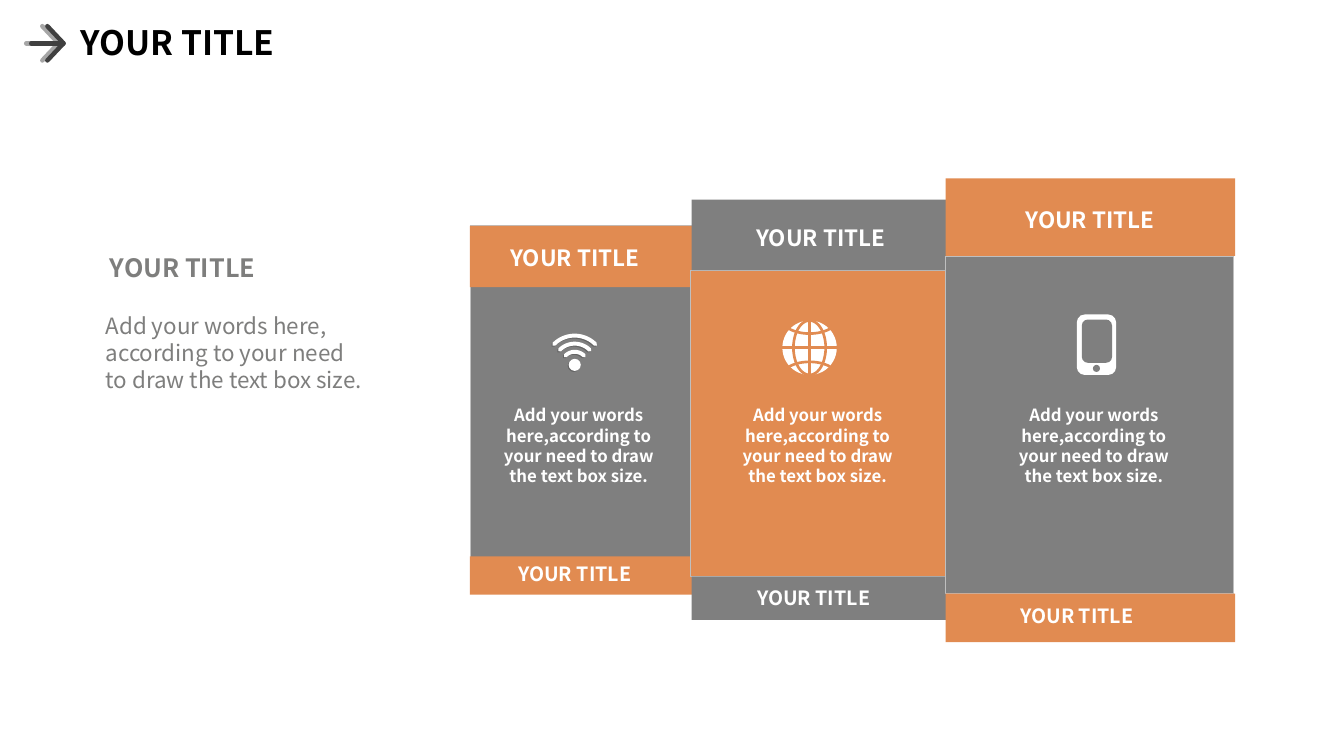
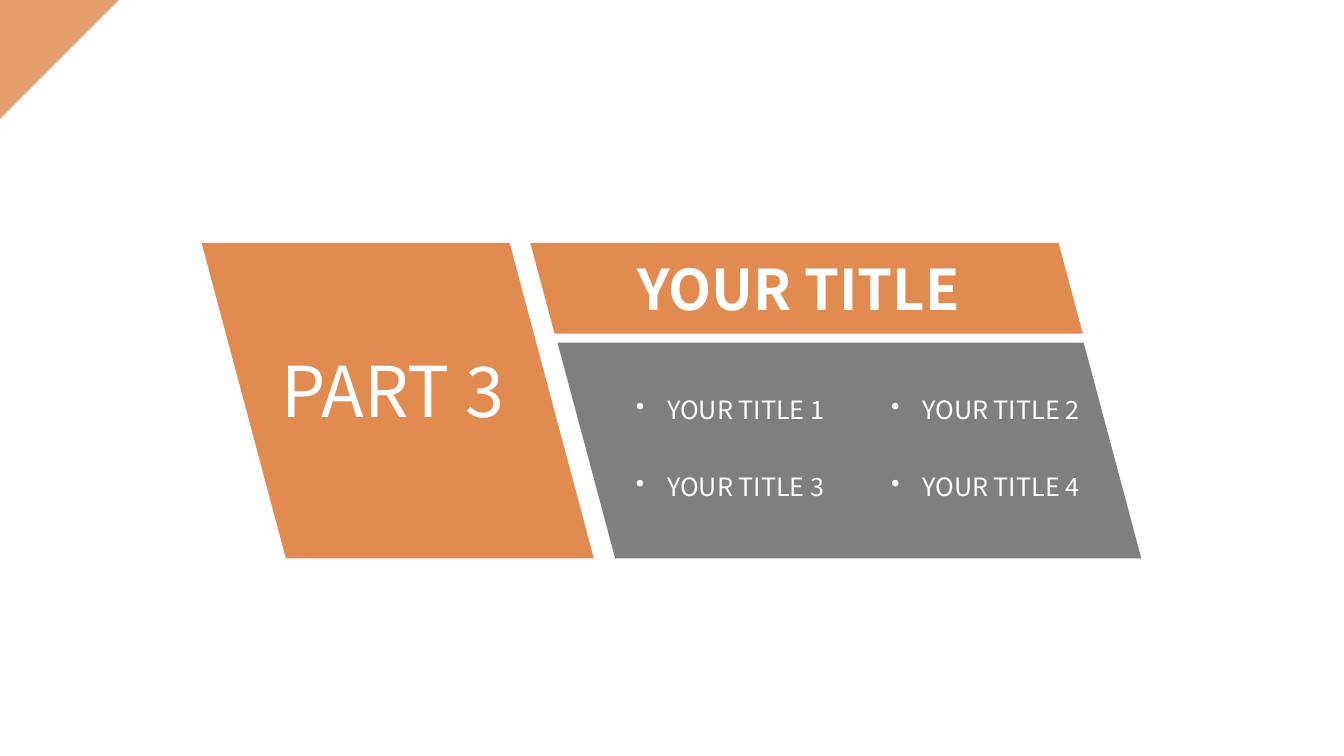
from math import cos, radians, sin

from lxml import etree
from pptx import Presentation
from pptx.dml.color import RGBColor
from pptx.enum.shapes import MSO_SHAPE
from pptx.enum.text import MSO_ANCHOR, MSO_AUTO_SIZE, PP_ALIGN
from pptx.oxml.ns import qn
from pptx.util import Inches, Pt

RECTANGLE = MSO_SHAPE.RECTANGLE
ROUNDED = MSO_SHAPE.ROUNDED_RECTANGLE
OVAL = MSO_SHAPE.OVAL
PARALLELOGRAM = MSO_SHAPE.PARALLELOGRAM
TRIANGLE = MSO_SHAPE.RIGHT_TRIANGLE
LEFT, CENTER = PP_ALIGN.LEFT, PP_ALIGN.CENTER
TOP = MSO_ANCHOR.TOP
NO_AUTOFIT = MSO_AUTO_SIZE.NONE

FONT = "Noto Sans CJK SC"
COLORS = {
    "white": "FFFFFF",
    "black": "000000",
    "orange": "E18B51",
    "light_orange": "E69D6D",
    "gray": "7F7F7F",
    "text_gray": "7E7E7D",
    "outline": "BFBFBF",
    "arrow_back": "A6A6A6",
    "arrow_front": "404040",
}

HEADING = "YOUR TITLE"
INTRO = ["Add your words here,", "according to your need", "to draw the text box size."]
CARD_TEXT = "Add your words here,according to your need to draw the text box size."
CARDS = [
    {"body": (4.67, 2.24, 2.26, 3.65), "head": (4.66, 2.24, 2.28, 0.61),
     "foot": (4.66, 5.52, 2.28, 0.38), "colors": ("gray", "orange"),
     "head_text": (4.84, 2.37), "foot_text": (4.84, 5.53), "text_left": 4.84},
    {"body": (6.85, 2.68, 2.61, 3.04), "head": (6.86, 1.98, 2.61, 0.7),
     "foot": (6.86, 5.72, 2.61, 0.43), "colors": ("orange", "gray"),
     "head_text": (7.28, 2.17), "foot_text": (7.21, 5.76), "text_left": 7.21},
    {"body": (9.38, 2.54, 2.85, 3.35), "head": (9.38, 1.77, 2.87, 0.77),
     "foot": (9.38, 5.89, 2.87, 0.48), "colors": ("gray", "orange"),
     "head_text": (9.95, 2), "foot_text": (9.82, 5.94), "text_left": 9.95},
]
PANELS = [
    ((2, 2.41, 3.89, 3.13), "orange"),
    ((5.26, 2.41, 5.48, 0.9), "orange"),
    ((5.53, 3.4, 5.79, 2.14), "gray"),
]
TOPICS = ["YOUR TITLE 1", "YOUR TITLE 2", "YOUR TITLE 3", "YOUR TITLE 4"]


def color(name):
    return RGBColor.from_string(COLORS[name])


def place(shape, box):
    shape.left, shape.top, shape.width, shape.height = map(Inches, box)


def write(shape, lines, size=12, fill="white", bold=False, align=LEFT, wrap=True, bullet=False):
    frame = shape.text_frame
    frame.auto_size = NO_AUTOFIT
    frame.word_wrap = wrap
    frame.vertical_anchor = TOP
    for index, line in enumerate([lines] if isinstance(lines, str) else lines):
        paragraph = frame.paragraphs[0] if index == 0 else frame.add_paragraph()
        paragraph.alignment = align
        run = paragraph.add_run()
        run.text = line
        run.font.name = FONT
        run.font.size = Pt(size)
        run.font.bold = bold
        run.font.color.rgb = color(fill)
        if bullet:
            properties = paragraph._p.get_or_add_pPr()
            properties.set("marL", str(Inches(0.31)))
            properties.set("indent", str(-Inches(0.31)))
            etree.SubElement(properties, qn("a:buChar")).set("char", "•")


def add_text(slide, box, lines, **style):
    write(slide.shapes.add_textbox(*map(Inches, box)), lines, **style)


def add_title(slide, box, **style):
    title = slide.shapes.title
    place(title, box)
    write(title, HEADING, bold=True, **style)
    slide.shapes._spTree.append(title._element)


def set_alpha(shape, alpha):
    for fill in shape._element.spPr.iter(qn("a:srgbClr")):
        etree.SubElement(fill, qn("a:alpha")).set("val", str(alpha * 1000))


def add_shape(slide, kind, box, fill, outline=None, adjustment=None):
    shape = slide.shapes.add_shape(kind, *map(Inches, box))
    shape.shadow.inherit = False
    shape.fill.solid()
    shape.fill.fore_color.rgb = color(fill)
    if outline:
        shape.line.color.rgb = color(outline)
        shape.line.width = Pt(0.5)
    else:
        shape.line.fill.background()
    if adjustment is not None:
        shape.adjustments[0] = adjustment
    return shape


def add_strokes(slide, paths, stroke, width, cap="rnd"):
    points = [[(Inches(x), Inches(y)) for x, y in path] for path in paths]
    builder = slide.shapes.build_freeform(*points[0][0])
    builder.add_line_segments(points[0][1:], close=False)
    for path in points[1:]:
        builder.move_to(*path[0])
        builder.add_line_segments(path[1:], close=False)
    shape = builder.convert_to_shape()
    shape.shadow.inherit = False
    shape.fill.background()
    shape.line.color.rgb = color(stroke)
    shape.line.width = Pt(width)
    line = shape._element.spPr.find(qn("a:ln"))
    line.set("cap", cap)
    etree.SubElement(line, qn("a:round"))
    return shape


def arc(x, y, radius_x, radius_y, start, end, steps=24):
    angles = [radians(start + (end - start) * step / steps) for step in range(steps + 1)]
    return [(x + radius_x * cos(angle), y + radius_y * sin(angle)) for angle in angles]


def add_arrow(slide):
    for left, stroke in ((0.26, "arrow_back"), (0.31, "arrow_front")):
        tip = left + 0.32
        head = [(tip - 0.16, 0.26), (tip, 0.43), (tip - 0.16, 0.6)]
        add_strokes(slide, [head, [(left, 0.43), (tip, 0.43)]], stroke, 3.2)


def add_wifi(slide, x, y):
    for shift, fill, alpha in ((-0.01, "black", 20), (0, "white", 100)):
        center_x, center_y = x + shift, y - shift
        parts = [add_shape(slide, OVAL, (center_x - 0.06, center_y - 0.06, 0.12, 0.12), fill)]
        for radius in (0.13, 0.21, 0.29):
            path = arc(center_x, center_y, radius, radius, 225, 315)
            parts.append(add_strokes(slide, [path], fill, 2.8))
        if alpha < 100:
            for part in parts:
                set_alpha(part, alpha)


def add_globe(slide, x, y, radius):
    add_shape(slide, OVAL, (x - radius, y - radius, 2 * radius, 2 * radius), "white")
    grid = [
        [(x, y - radius), (x, y + radius)],
        [(x - radius, y), (x + radius, y)],
        arc(x, y, 0.16, radius, 0, 360, 48),
        arc(x, y - 0.32, 0.3, 0.18, 48, 132),
        arc(x, y + 0.32, 0.3, 0.18, 228, 312),
    ]
    add_strokes(slide, grid, "orange", 1.9, cap="flat")


def add_phone(slide, left, top):
    add_shape(slide, ROUNDED, (left, top, 0.39, 0.6), "white", adjustment=0.2)
    add_shape(slide, ROUNDED, (left + 0.05, top + 0.05, 0.3, 0.43), "gray", adjustment=0.2)
    add_shape(slide, OVAL, (left + 0.16, top + 0.5, 0.07, 0.07), "gray")


def build_cards(slide):
    add_title(slide, (0.7, 0.17, 3, 0.5), size=24, fill="black")
    add_arrow(slide)
    for card in CARDS:
        body_fill, band_fill = card["colors"]
        add_shape(slide, RECTANGLE, card["body"], body_fill, outline="outline")
        add_shape(slide, RECTANGLE, card["head"], band_fill)
        add_shape(slide, RECTANGLE, card["foot"], band_fill)
        white_bold = {"bold": True, "align": CENTER}
        add_text(slide, (*card["head_text"], 1.72, 0.37), HEADING, size=16, **white_bold)
        add_text(slide, (*card["foot_text"], 1.72, 0.34), HEADING, size=14, **white_bold)
        add_text(slide, (card["text_left"], 3.97, 1.8, 0.91), CARD_TEXT, **white_bold)
    add_text(slide, (0.95, 3.05, 3.21, 0.91), INTRO, size=16, fill="text_gray")
    add_text(slide, (0.95, 2.45, 1.72, 0.4), HEADING, size=18, fill="text_gray",
             bold=True, align=CENTER)
    add_wifi(slide, 5.7, 3.62)
    add_globe(slide, 8.03, 3.45, 0.27)
    add_phone(slide, 10.68, 3.12)


def build_part(slide):
    corner = add_shape(slide, TRIANGLE, (0, 0, 1.18, 1.18), "light_orange")
    corner.rotation = 90
    for box, fill in PANELS:
        panel = add_shape(slide, PARALLELOGRAM, box, fill, adjustment=0.267)
        panel._element.spPr.find(qn("a:xfrm")).set("flipH", "1")
    add_title(slide, (6.22, 2.47, 3.49, 0.77), size=40, wrap=False)
    for index, topic in enumerate(TOPICS):
        row, column = divmod(index, 2)
        box = (6.21 + column * 2.53, 3.86 + row * 0.77, 2.13, 0.4)
        add_text(slide, box, topic, size=18, wrap=False, bullet=True)
    add_text(slide, (2.69, 3.4, 2.5, 0.94), "PART 3", size=50, wrap=False)


def main():
    presentation = Presentation()
    presentation.slide_width = Inches(13.33)
    presentation.slide_height = Inches(7.5)
    for build in (build_cards, build_part):
        build(presentation.slides.add_slide(presentation.slide_layouts[5]))
    presentation.save("out.pptx")


if __name__ == "__main__":
    main()
